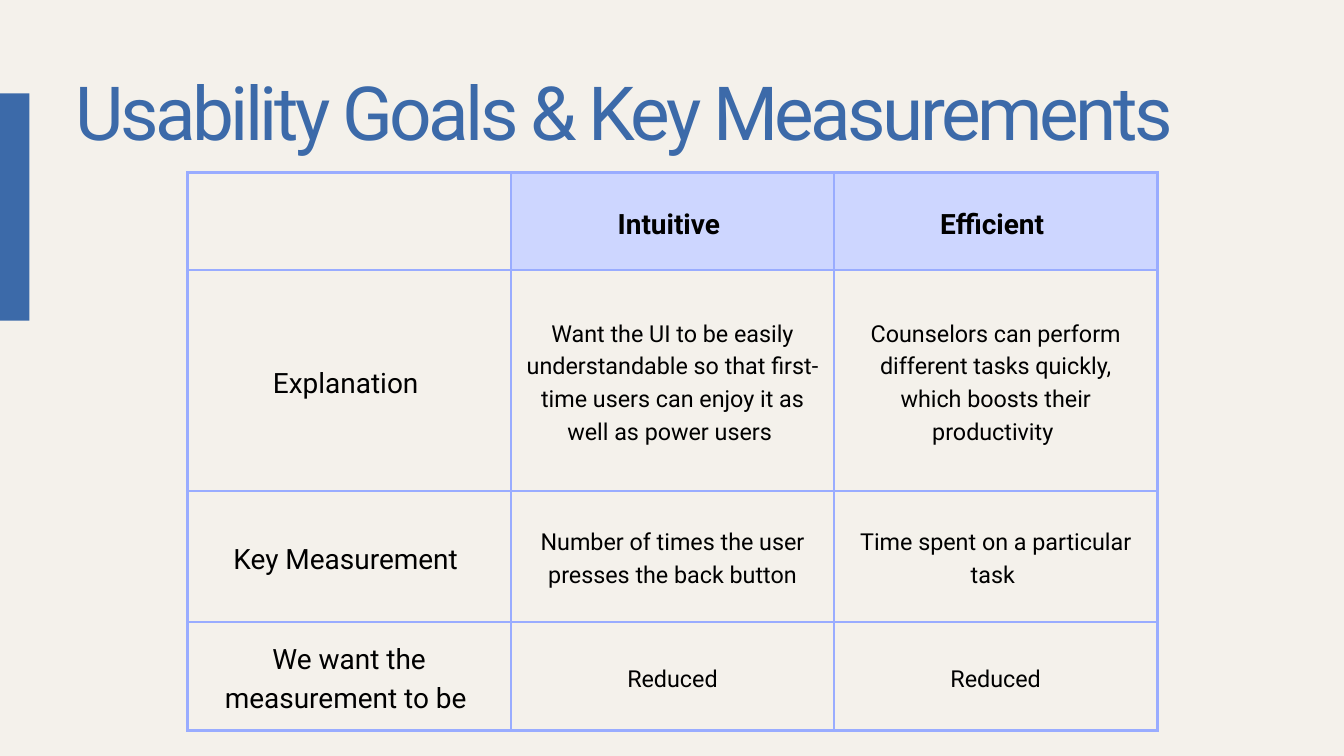
from dataclasses import dataclass

from lxml.etree import SubElement
from pptx import Presentation
from pptx.dml.color import RGBColor
from pptx.enum.shapes import MSO_SHAPE
from pptx.enum.text import MSO_ANCHOR, MSO_AUTO_SIZE, PP_ALIGN
from pptx.oxml.ns import qn
from pptx.util import Pt


@dataclass(frozen=True)
class Theme:
    font: str = "Roboto"
    background: str = "F4F1EB"
    accent: str = "3C6AA9"
    header_fill: str = "CDD6FF"
    border: str = "99ACFF"
    text: str = "000000"
    title_size: float = 80
    title_leading: float = 71.2
    title_tracking: float = -3.8
    label_size: float = 30
    label_leading: float = 42
    body_size: float = 25
    body_leading: float = 35
    border_width: float = 3
    cell_margin: float = 15


THEME = Theme()

# The trailing spaces are part of the wording
GOALS = [
    ["", "Intuitive ", "Efficient "],
    ["Explanation ",
     "Want the UI to be easily understandable so that first-time users "
     "can enjoy it as well as power users ",
     "Counselors can perform different tasks quickly, which boosts their productivity "],
    ["Key Measurement ",
     "Number of times the user presses the back button",
     "Time spent on a particular task "],
    ["We want the measurement to be ", "Reduced", "Reduced"],
]
ROW_HEIGHTS = [104.5, 236.75, 140.5, 116]


def color(value):
    return RGBColor.from_string(value)


def format_paragraph(paragraph, size, leading, text_color, bold=False):
    paragraph.line_spacing = Pt(leading)
    font = paragraph.font if not paragraph.runs else paragraph.runs[0].font
    font.name = THEME.font
    font.size = Pt(size)
    font.bold = bold
    font.color.rgb = color(text_color)


def add_side_bar(slide, left, top, width, height):
    bar = slide.shapes.add_shape(
        MSO_SHAPE.RECTANGLE, Pt(left), Pt(top), Pt(width), Pt(height))
    bar.shadow.inherit = False
    bar.fill.solid()
    bar.fill.fore_color.rgb = color(THEME.accent)
    bar.line.fill.background()


def add_title(slide, text, left, top, width, height):
    box = slide.shapes.add_textbox(Pt(left), Pt(top), Pt(width), Pt(height))
    frame = box.text_frame
    frame.word_wrap = True
    frame.auto_size = MSO_AUTO_SIZE.SHAPE_TO_FIT_TEXT
    frame.margin_left = frame.margin_top = frame.margin_right = frame.margin_bottom = 0
    frame.text = text
    paragraph = frame.paragraphs[0]
    format_paragraph(paragraph, THEME.title_size, THEME.title_leading, THEME.accent)
    run_properties = paragraph.runs[0].font._element
    run_properties.set("spc", str(round(THEME.title_tracking * 100)))


def add_borders(cell):
    properties = cell._tc.get_or_add_tcPr()
    for side in ("a:lnL", "a:lnR", "a:lnT", "a:lnB"):
        line = SubElement(properties, qn(side), w=str(Pt(THEME.border_width)))
        fill = SubElement(line, qn("a:solidFill"))
        SubElement(fill, qn("a:srgbClr"), val=THEME.border)


def format_cell(cell, text, is_header, is_label):
    # Borders come before the fill in the cell properties
    add_borders(cell)
    if is_header and not is_label:
        cell.fill.solid()
        cell.fill.fore_color.rgb = color(THEME.header_fill)
    else:
        cell.fill.background()
    margin = Pt(THEME.cell_margin)
    cell.margin_left = cell.margin_top = cell.margin_right = cell.margin_bottom = margin
    cell.vertical_anchor = MSO_ANCHOR.MIDDLE

    cell.text_frame.text = text
    paragraph = cell.text_frame.paragraphs[0]
    paragraph.alignment = PP_ALIGN.CENTER
    if is_header or is_label:
        size, leading = THEME.label_size, THEME.label_leading
    else:
        size, leading = THEME.body_size, THEME.body_leading
    format_paragraph(paragraph, size, leading, THEME.text, bold=is_header)


def add_goals_table(slide, left, top, width):
    column_count = len(GOALS[0])
    table = slide.shapes.add_table(
        len(GOALS), column_count,
        Pt(left), Pt(top), Pt(width), Pt(sum(ROW_HEIGHTS))).table
    table.first_row = table.horz_banding = False
    for column in table.columns:
        column.width = Pt(width / column_count)
    for row, height in zip(table.rows, ROW_HEIGHTS):
        row.height = Pt(height)
    for row_index, texts in enumerate(GOALS):
        for column_index, text in enumerate(texts):
            format_cell(table.cell(row_index, column_index), text,
                        is_header=row_index == 0, is_label=column_index == 0)


def build_goals_slide(presentation):
    slide = presentation.slides.add_slide(presentation.slide_layouts[6])
    slide.background.fill.solid()
    slide.background.fill.fore_color.rgb = color(THEME.background)

    add_side_bar(slide, 0, 100, 31.5, 243.5)
    add_goals_table(slide, 201, 185, 1039)
    add_title(slide, "Usability Goals & Key Measurements", 80.5, 95, 1306, 77)


def main():
    presentation = Presentation()
    presentation.slide_width = Pt(1440)
    presentation.slide_height = Pt(810)
    build_goals_slide(presentation)
    presentation.save("out.pptx")


if __name__ == "__main__":
    main()
